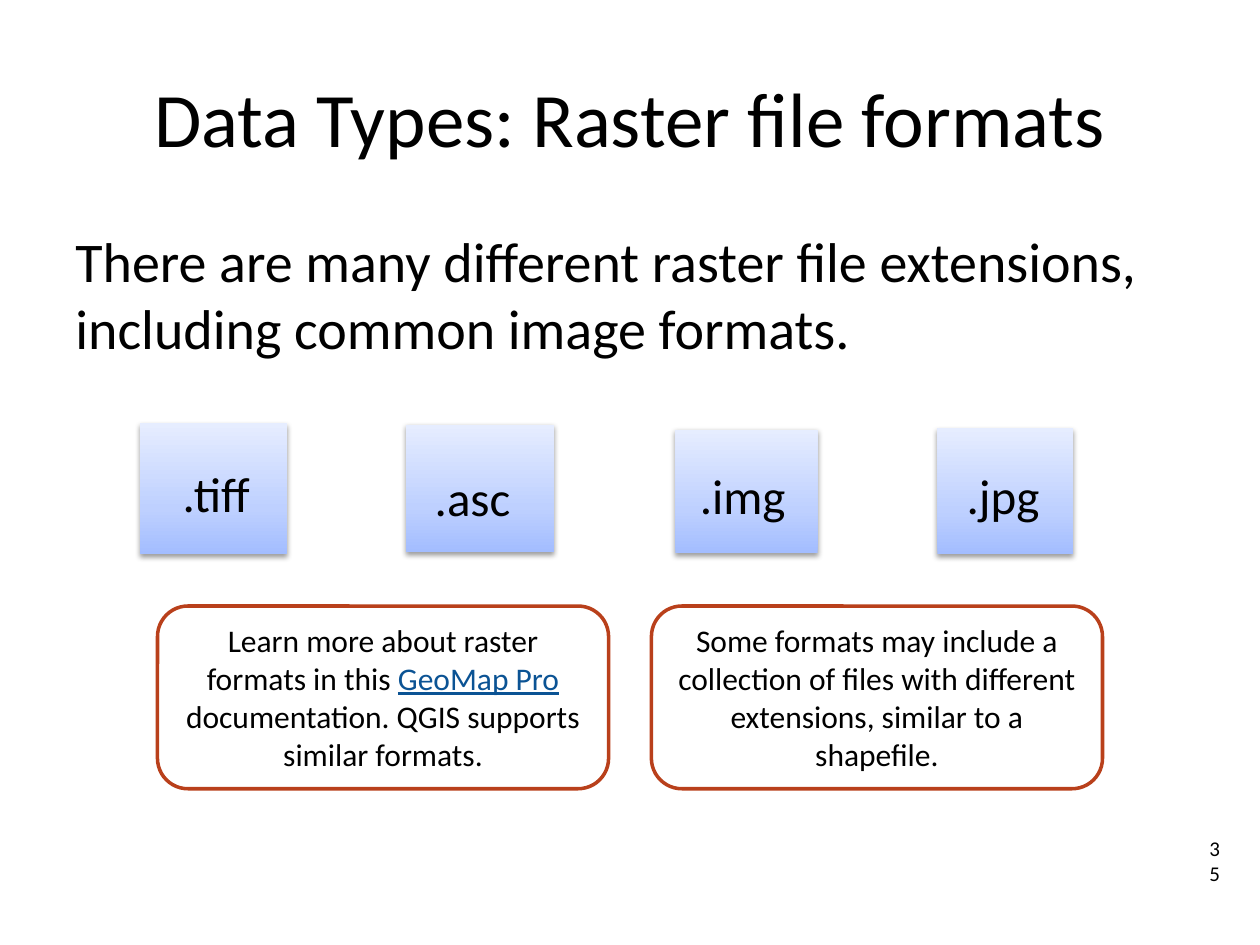
from lxml.etree import SubElement
from pptx import Presentation
from pptx.dml.color import RGBColor
from pptx.enum.shapes import MSO_SHAPE
from pptx.enum.text import MSO_ANCHOR, PP_ALIGN
from pptx.oxml import parse_xml
from pptx.oxml.ns import nsdecls, qn
from pptx.util import Inches, Pt

THEME = {
    "font": "Calibri",
    "text": "000000",
    "link": "0B5394",
    "paper": "FFFFFF",
    "border": "B9401B",
    "tile": [(0, "A3BDFF"), (35, "BED0FF"), (100, "E6EDFF")],
    "title": 44, "body": 32, "label": 28, "note": 18, "number": 12,
}


def write(tf, text, size, align=PP_ALIGN.LEFT, anchor=MSO_ANCHOR.TOP,
          inset=None, color=THEME["text"], underline=False):
    tf.word_wrap = True
    tf.vertical_anchor = anchor
    if inset is not None:
        tf.margin_left = tf.margin_right = inset
        tf.margin_top = tf.margin_bottom = inset
    p = tf.paragraphs[0]
    p.alignment = align
    r = p.add_run()
    r.text = text
    r.font.name = THEME["font"]
    r.font.size = Pt(THEME[size])
    r.font.color.rgb = RGBColor.from_string(color)
    r.font.underline = underline


prs = Presentation()
prs.slide_width, prs.slide_height = Inches(10), Inches(7.5)
s = prs.slides.add_slide(prs.slide_layouts[6])

title = s.shapes.add_textbox(Inches(0.5), Inches(0.3), Inches(9), Inches(1.25))
write(title.text_frame, "Data Types: Raster file formats", size="title",
      align=PP_ALIGN.CENTER, anchor=MSO_ANCHOR.MIDDLE)

body = s.shapes.add_textbox(Inches(0.5), Inches(1.75), Inches(9), Inches(1.33))
write(body.text_frame, "There are many different raster file extensions, "
      "including common image formats.", size="body")

stops = "".join(f'<a:gs pos="{pos * 1000}"><a:srgbClr val="{color}"/></a:gs>'
                for pos, color in THEME["tile"])
gradient = (f'<a:gradFill {nsdecls("a")} rotWithShape="1"><a:gsLst>{stops}</a:gsLst>'
            '<a:lin ang="16200000" scaled="0"/></a:gradFill>')

formats = [
    (".tiff", 1.11, 3.36, 1.17, 1.04, 0.02, 0.03),
    (".asc", 3.22, 3.37, 1.18, 1.01, -0.06, 0.07),
    (".img", 5.36, 3.41, 1.13, 0.98, -0.03, 0.03),
    (".jpg", 7.44, 3.4, 1.08, 1, -0.02, 0.03),
]
for text, x, y, w, h, dx, dy in formats:
    grp = s.shapes.add_group_shape()
    tile = grp.shapes.add_shape(MSO_SHAPE.RECTANGLE, Inches(x), Inches(y),
                                Inches(w), Inches(h))
    tile.line.fill.background()
    tile.shadow.inherit = False
    spPr = tile._element.spPr
    spPr.find(qn("a:ln")).addprevious(parse_xml(gradient))
    shadow = SubElement(spPr.find(qn("a:effectLst")), qn("a:outerShdw"),
                        blurRad="40000", dist="20000", dir="5400000", rotWithShape="0")
    black = SubElement(shadow, qn("a:srgbClr"), val=THEME["text"])
    SubElement(black, qn("a:alpha"), val="38000")
    label = grp.shapes.add_textbox(Inches(x + dx), Inches(y + dy), Inches(w), Inches(h))
    write(label.text_frame, text, size="label", align=PP_ALIGN.CENTER,
          anchor=MSO_ANCHOR.MIDDLE, inset=Inches(0.06))

notes = [
    (1.25, [("Learn more about raster formats in this ", {}),
            ("GeoMap Pro", {"color": THEME["link"], "underline": True}),
            (" documentation. QGIS supports similar formats.", {})]),
    (5.17, [("Some formats may include a collection of files with different "
             "extensions, similar to a shapefile.", {})]),
]
for x, runs in notes:
    sp = s.shapes.add_shape(MSO_SHAPE.ROUNDED_RECTANGLE, Inches(x), Inches(4.81),
                            Inches(3.58), Inches(1.45))
    sp.shadow.inherit = False
    sp.fill.solid()
    sp.fill.fore_color.rgb = RGBColor.from_string(THEME["paper"])
    sp.line.color.rgb = RGBColor.from_string(THEME["border"])
    sp.line.width = Pt(2)
    for text, style in runs:
        write(sp.text_frame, text, size="note", align=PP_ALIGN.CENTER, **style)

number = s.shapes.add_textbox(Inches(9.5), Inches(6.58), Inches(0.29), Inches(0.3))
write(number.text_frame, "35", size="number")

prs.save("out.pptx")
